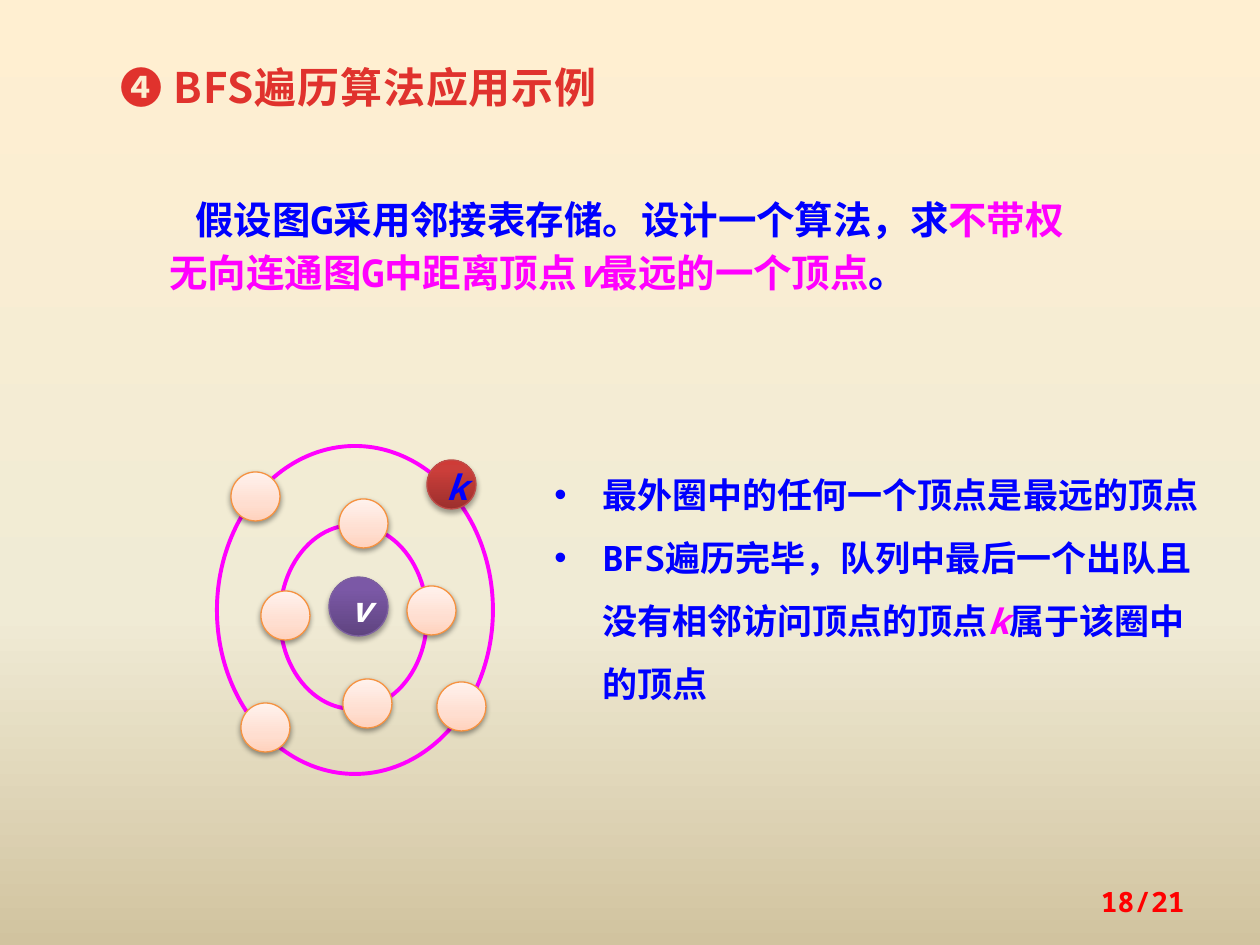
from lxml import etree
from pptx import Presentation
from pptx.dml.color import RGBColor
from pptx.enum.shapes import MSO_SHAPE
from pptx.enum.text import MSO_ANCHOR, MSO_AUTO_SIZE, PP_ALIGN
from pptx.oxml.ns import qn
from pptx.util import Inches, Pt

OVAL = MSO_SHAPE.OVAL
TOP, MIDDLE = MSO_ANCHOR.TOP, MSO_ANCHOR.MIDDLE
LEFT, CENTER, RIGHT = PP_ALIGN.LEFT, PP_ALIGN.CENTER, PP_ALIGN.RIGHT
GROW, FIXED = MSO_AUTO_SIZE.SHAPE_TO_FIT_TEXT, MSO_AUTO_SIZE.NONE

BLUE = RGBColor(0x00, 0x00, 0xFF)
PINK = RGBColor(0xFF, 0x00, 0xFF)
RED = RGBColor(0xFF, 0x00, 0x00)
BRICK = RGBColor(0xE0, 0x32, 0x2D)
WHITE = RGBColor(0xFF, 0xFF, 0xFF)
SANS, MONO = "Noto Sans CJK SC", "Noto Sans Mono"

PAPER = [(0, "FFEFD1"), (65, "F0EBD5"), (100, "D1C39F")]
# Stops, line colour, shadow opacity, shadow distance in points
PEACH = ([(0, "FFD2BD"), (35, "FFDED0"), (100, "FFF2ED")],
         RGBColor(0xF6, 0x92, 0x40), 38, 1.6)
CRIMSON = ([(0, "9C2F2D"), (80, "CB3E3A"), (100, "CE3B37")],
           RGBColor(0xBF, 0x4C, 0x48), 35, 1.8)
PURPLE = ([(0, "5F4480"), (80, "7B58A6"), (100, "7C57A8")],
          RGBColor(0x7D, 0x60, 0xA0), 35, 1.8)

# Each paragraph is a list of runs: text, colour, italic
TITLE = [[("❹ BFS遍历算法应用示例", BRICK, False)]]
TASK = [[
    ("假设图G采用邻接表存储。设计一个算法，求", BLUE, False),
    ("不带权无向连通图G中距离顶点", PINK, False),
    ("v", PINK, True),
    ("最远的一个顶点", PINK, False),
    ("。", BLUE, False),
]]
NOTES = [
    [("最外圈中的任何一个顶点是最远的顶点", BLUE, False)],
    [("BFS遍历完毕，队列中最后一个出队且没有相邻访问顶点的顶点", BLUE, False),
     ("k", PINK, True),
     ("属于该圈中的顶点", BLUE, False)],
]
PAGE = [[("18/21", RED, False)]]

START = (329, 577, 59, 59)
NODE = 49
# Ring box, then the node corners with their style and label
RINGS = [
    ((280, 525, 147, 184),
     [(407, 586, PEACH, ""), (343, 679, PEACH, ""),
      (339, 499, PEACH, ""), (261, 591, PEACH, "")]),
    ((217, 446, 276, 328),
     [(241, 703, PEACH, ""), (437, 682, PEACH, ""),
      (427, 460, CRIMSON, "k"), (231, 472, PEACH, "")]),
]


def px(n):
    return round(n * Inches(1) / 126)


def shade(fill, root, stops, angle):
    """Give fill a linear gradient with any number of stops."""
    fill.gradient()
    fill.gradient_angle = angle
    group = next(root.iter(qn("a:gsLst")))
    for old in list(group):
        group.remove(old)
    for pos, color in stops:
        stop = etree.SubElement(group, qn("a:gs"), pos=str(pos * 1000))
        etree.SubElement(stop, qn("a:srgbClr"), val=color)


def write(frame, paras, size, face=MONO, gap=None, align=LEFT,
          first=0, hang=0, space=None):
    for i, runs in enumerate(paras):
        para = frame.paragraphs[0] if i == 0 else frame.add_paragraph()
        para.alignment = align
        if gap:
            para.line_spacing = gap
        props = para._p.get_or_add_pPr()
        if first:
            props.set("indent", str(px(first)))
        if hang:
            props.set("marL", str(px(hang)))
            props.set("indent", str(-px(hang)))
            etree.SubElement(props, qn("a:buFont"), typeface="Arial")
            etree.SubElement(props, qn("a:buChar"), char="•")
        for text, color, slant in runs:
            run = para.add_run()
            run.text = text
            look = {"name": face, "size": Pt(size), "bold": True, "italic": slant}
            for key, value in look.items():
                setattr(run.font, key, value)
            run.font.color.rgb = color
            mark = run._r.get_or_add_rPr()
            etree.SubElement(mark, qn("a:ea"), typeface=SANS)
            if space:
                mark.set("spc", str(space))


def label(slide, box, paras, size, anchor=TOP, fit=GROW, **style):
    frame = slide.shapes.add_textbox(*map(px, box)).text_frame
    look = {"word_wrap": True, "auto_size": fit, "vertical_anchor": anchor}
    for key, value in look.items():
        setattr(frame, key, value)
    write(frame, paras, size, **style)


def ring(shapes, box):
    oval = shapes.add_shape(OVAL, *map(px, box))
    oval.shadow.inherit = False
    oval.fill.background()
    oval.line.color.rgb = PINK
    oval.line.width = Pt(2.25)


def vertex(shapes, box, style, name="", color=WHITE):
    stops, edge, alpha, dist = style
    oval = shapes.add_shape(OVAL, *map(px, box))
    shade(oval.fill, oval.element.spPr, stops, 90)
    oval.line.color.rgb = edge
    oval.line.width = Pt(0.75)
    oval.shadow.inherit = False
    effects = oval.element.spPr.find(qn("a:effectLst"))
    shadow = etree.SubElement(
        effects, qn("a:outerShdw"), blurRad=str(Pt(3.1)), dist=str(Pt(dist)),
        dir="5400000", rotWithShape="0")
    black = etree.SubElement(shadow, qn("a:srgbClr"), val="000000")
    etree.SubElement(black, qn("a:alpha"), val=str(alpha * 1000))
    if name:
        oval.text_frame.vertical_anchor = MIDDLE
        write(oval.text_frame, [[(name, color, True)]], 20, gap=1.1, align=CENTER)


def main():
    deck = Presentation()
    deck.slide_width, deck.slide_height = px(1260), px(945)
    slide = deck.slides.add_slide(deck.slide_layouts[6])
    shade(slide.background.fill, slide.element, PAPER, 270)

    label(slide, (157, 184, 945, 115), TASK, 22, gap=Pt(30), first=26)
    label(slide, (108, 53, 561, 66), TITLE, 24, face=SANS, gap=Pt(30), space=50)
    vertex(slide.shapes, START, PURPLE, "v")
    for box, nodes in RINGS:
        group = slide.shapes.add_group_shape().shapes
        ring(group, box)
        for x, y, style, name in nodes:
            vertex(group, (x, y, NODE, NODE), style, name, BLUE)
    label(slide, (542, 446, 679, 260), NOTES, 20, gap=1.5, hang=48)
    label(slide, (903, 876, 294, 50), PAGE, 16, anchor=MIDDLE, fit=FIXED, align=RIGHT)
    deck.save("out.pptx")


if __name__ == "__main__":
    main()
